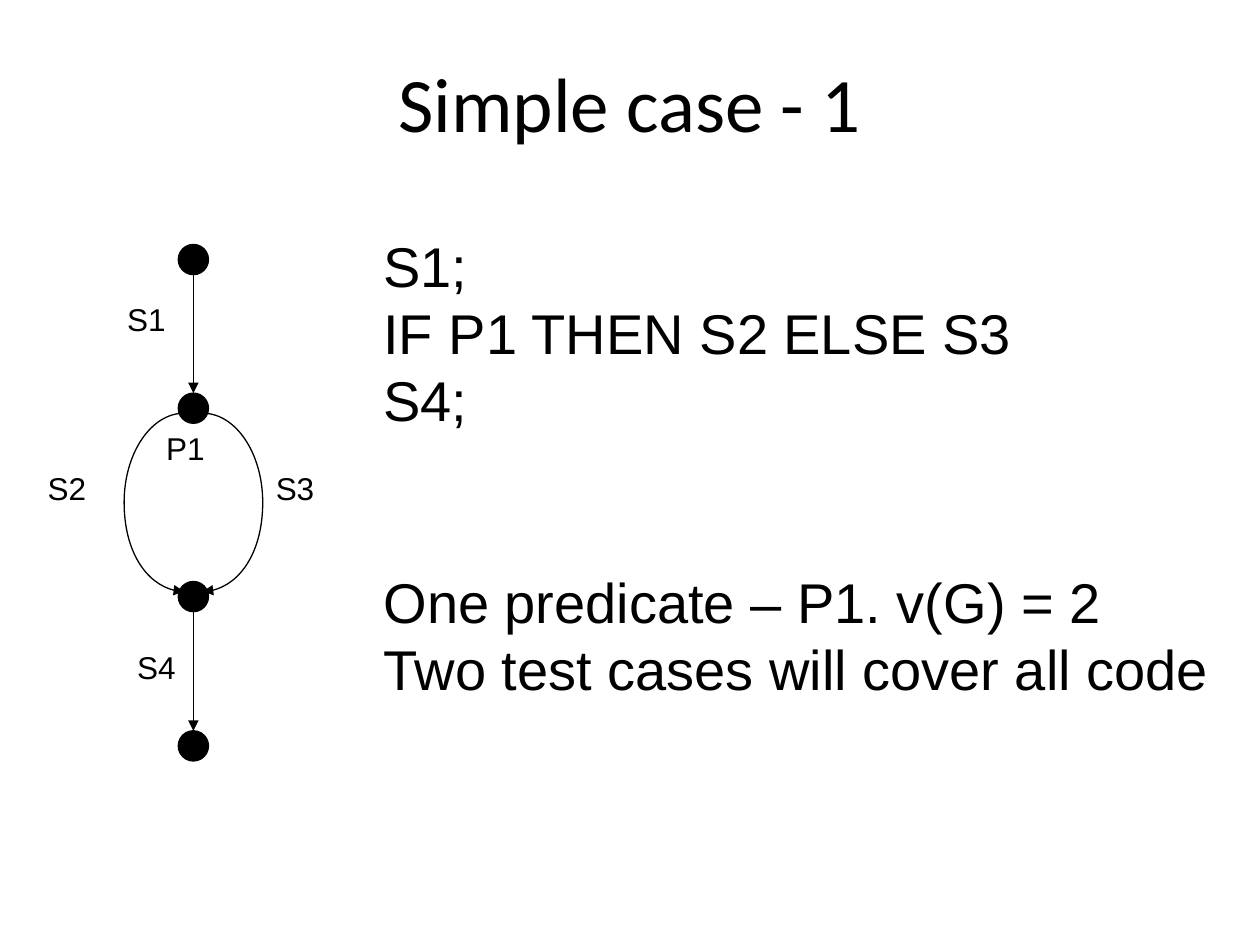
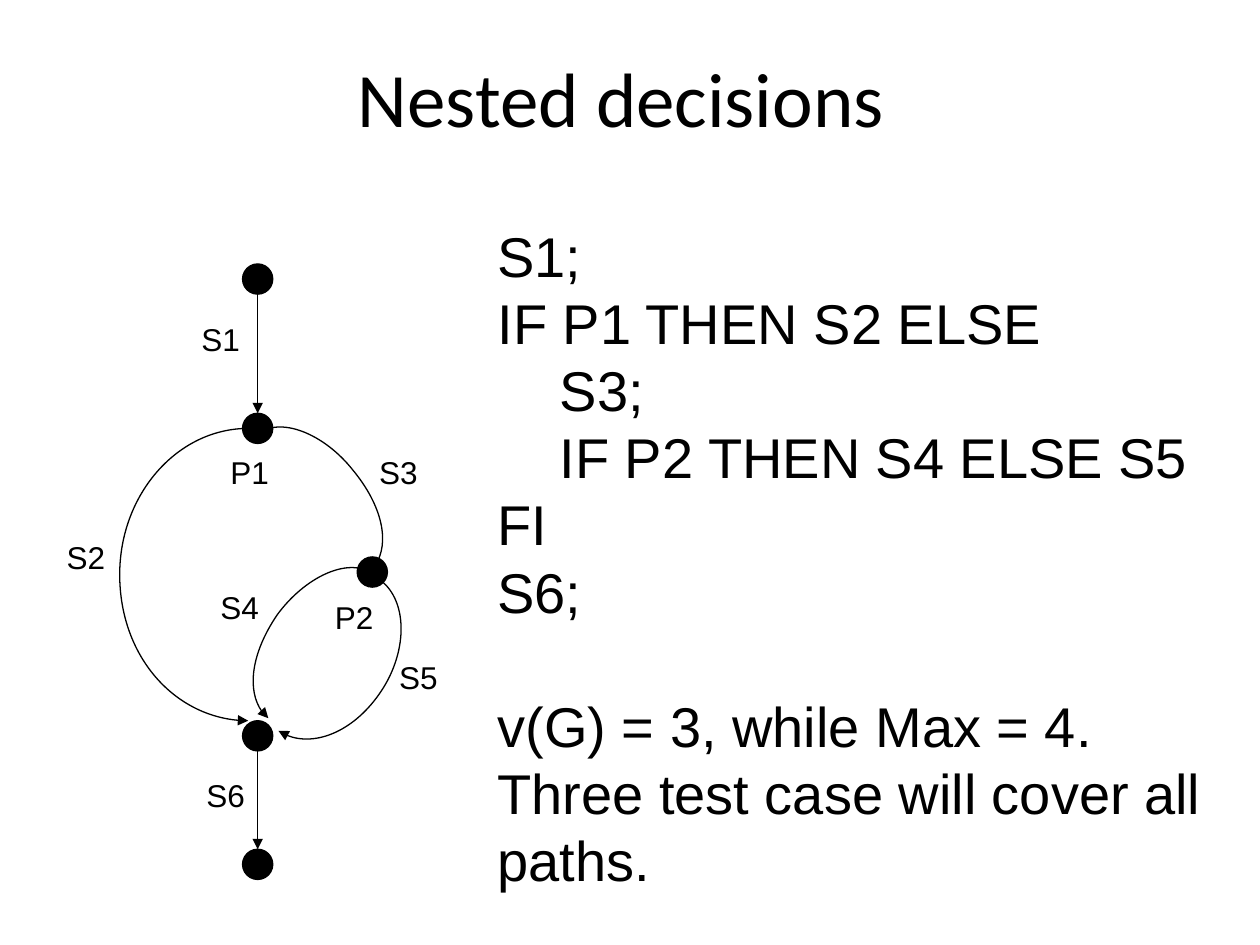
from lxml.etree import SubElement
from pptx import Presentation
from pptx.dml.color import RGBColor
from pptx.enum.shapes import MSO_CONNECTOR as CXN, MSO_SHAPE as SHAPE
from pptx.enum.text import MSO_ANCHOR as ANCHOR, PP_ALIGN as ALIGN
from pptx.oxml.ns import qn
from pptx.util import Inches, Pt

CELL = Inches(0.1)
COLUMNS, ROWS = 100, 75
INK = "000000"
LINE_WIDTH = 0.75
NODE = 2.4
CODE_LINE = 38.4
CODE_INDENT = 4.94
KAPPA = 0.55


def color(value):
    """Turn a hex string into a colour."""
    return RGBColor.from_string(value)


def cells(*counts):
    """Turn counts of grid cells into lengths."""
    return [round(n * CELL) for n in counts]


def add_text(s, box, lines, size, font="Arial", align=ALIGN.LEFT, wrap=False):
    """Add a text box of (text, indent, blank lines before) paragraphs."""
    tf = s.shapes.add_textbox(*cells(*box)).text_frame
    tf.word_wrap = wrap
    for i, (text, indent, gap) in enumerate(lines):
        p = tf.add_paragraph() if i else tf.paragraphs[0]
        p.text = text
        p.alignment = align
        p.font.size, p.font.name = Pt(size), font
        p.font.color.rgb = color(INK)
        if gap:
            p.space_before = Pt(gap * CODE_LINE)
        if indent:
            p._p.get_or_add_pPr().set("marL", str(cells(indent * CODE_INDENT)[0]))
    return tf


def add_title(s, text, height):
    """Add the centred slide title."""
    tf = add_text(s, (5, 3, COLUMNS - 10, height), [(text, 0, 0)], 44,
                  "Calibri", ALIGN.CENTER, True)
    tf.vertical_anchor = ANCHOR.MIDDLE


def add_labels(s, labels):
    """Add the small names of edges and predicates."""
    for text, x, y in labels:
        add_text(s, (x, y, 5.1, 4), [(text, 0, 0)], 18)


def add_nodes(s, centres):
    """Add a filled dot at every centre."""
    for x, y in centres:
        sp = s.shapes.add_shape(
            SHAPE.OVAL, *cells(x - NODE / 2, y - NODE / 2, NODE, NODE))
        sp.shadow.inherit = False
        sp.fill.solid()
        sp.fill.fore_color.rgb = color(INK)
        style_line(sp)


def style_line(sp, arrow=False):
    """Give a shape the thin line, with an arrowhead at its end if asked."""
    sp.line.color.rgb = color(INK)
    sp.line.width = Pt(LINE_WIDTH)
    if arrow:
        SubElement(sp.line._get_or_add_ln(), qn("a:tailEnd"), type="triangle")


def add_edge(s, x, top, bottom):
    """Add a straight arrow from one node down to the next."""
    ends = cells(x, top + NODE / 2, x, bottom - NODE / 2)
    cxn = s.shapes.add_connector(CXN.STRAIGHT, *ends)
    style_line(cxn, arrow=True)
    SubElement(cxn._element.spPr, qn("a:effectLst"))


def add_curve(s, start, *points):
    """Add a curved arrow; every three points make one Bézier segment."""
    builder = s.shapes.build_freeform(*cells(*start), scale=1.0)
    builder.add_line_segments([cells(*pt) for pt in points], close=False)
    sp = builder.convert_to_shape()
    sp.shadow.inherit = False
    sp.fill.background()
    style_line(sp, arrow=True)
    steps = list(sp._element.iter(qn("a:lnTo")))
    outline = steps[0].getparent()
    for i in range(0, len(steps), 3):
        bezier = SubElement(outline, qn("a:cubicBezTo"))
        for step in steps[i:i + 3]:
            bezier.append(step[0])
            outline.remove(step)


def add_half_ellipse(s, x, top, bottom, bulge):
    """Add a branch that bulges sideways between two heights."""
    middle, half = (top + bottom) / 2, (bottom - top) / 2
    near, far = x + bulge * KAPPA, x + bulge
    add_curve(s, (x, top),
              (near, top), (far, middle - half * KAPPA), (far, middle),
              (far, middle + half * KAPPA), (near, bottom), (x, bottom))


def build_simple_case(s):
    """Build the slide with one decision."""
    x, ys = 15.35, (20.6, 32.4, 47.35, 59.2)
    add_title(s, "Simple case - 1", 10.1)
    add_nodes(s, [(x, y) for y in ys])
    add_edge(s, x, *ys[:2])
    add_edge(s, x, *ys[2:])
    for side in (-1, 1):
        add_half_ellipse(s, x + side * 0.75, 32.8, 46.95, side * 4.75)
    add_text(s, (29.45, 17.85, 67.8, 38.4), [
        ("S1;", 0, 0),
        ("IF P1 THEN S2 ELSE S3", 0, 0),
        ("S4;", 0, 0),
        ("One predicate – P1. v(G) = 2", 0, 2),
        ("Two test cases will cover all code", 0, 0)], 32)
    add_labels(s, [("S4", 9.9, 50.9), ("S3", 20.9, 36.7), ("S2", 2.8, 36.7),
                   ("S1", 9.1, 23.3), ("P1", 12.2, 33.6)])


def build_nested_decisions(s):
    """Build the slide with a decision inside another."""
    x, ys = 20.45, (22.15, 34, 58.4, 68.6)
    add_title(s, "Nested decisions ", 9.3)
    add_nodes(s, [(x, y) for y in ys] + [(29.55, 45.4)])
    add_edge(s, x, *ys[:2])
    add_edge(s, x, *ys[2:])
    add_half_ellipse(s, 19.7, 34, 57.2, -10.2)
    add_curve(s, (20.4, 34.5), (22.2, 33), (25.7, 34.4), (28, 37.3),
              (30.4, 40.2), (31.1, 43.9), (29.3, 45.4))
    add_curve(s, (29.5, 45.5), (27.6, 44.2), (24.2, 45.8), (22, 48.8),
              (19.9, 51.9), (19.5, 55.6), (21.3, 57))
    add_curve(s, (30, 45.9), (32.4, 47.5), (32.4, 51.6), (30.3, 54.8),
              (28.2, 58), (24.4, 59.6), (22.1, 58))
    add_labels(s, [("P1", 17.3, 35.5), ("P2", 25.6, 47), ("S5", 30.7, 51.7),
                   ("S4", 16.5, 46.2), ("S6", 15.4, 61.1), ("S3", 29.1, 35.5),
                   ("S2", 4.3, 42.2), ("S1", 15, 24.9)])
    add_text(s, (38.5, 17.05, 57.9, 54.4), [
        ("S1;", 0, 0),
        ("IF P1 THEN S2 ELSE", 0, 0),
        ("S3;", 1, 0),
        ("IF P2 THEN S4 ELSE S5", 1, 0),
        ("FI", 0, 0),
        ("S6;", 0, 0),
        ("v(G) = 3, while Max = 4.", 0, 1),
        ("Three test case will cover all\vpaths.", 0, 0)], 32)


def main():
    """Build both slides and save them."""
    prs = Presentation()
    prs.slide_width, prs.slide_height = cells(COLUMNS, ROWS)
    for build in (build_simple_case, build_nested_decisions):
        build(prs.slides.add_slide(prs.slide_layouts[6]))
    prs.save("out.pptx")


if __name__ == "__main__":
    main()
